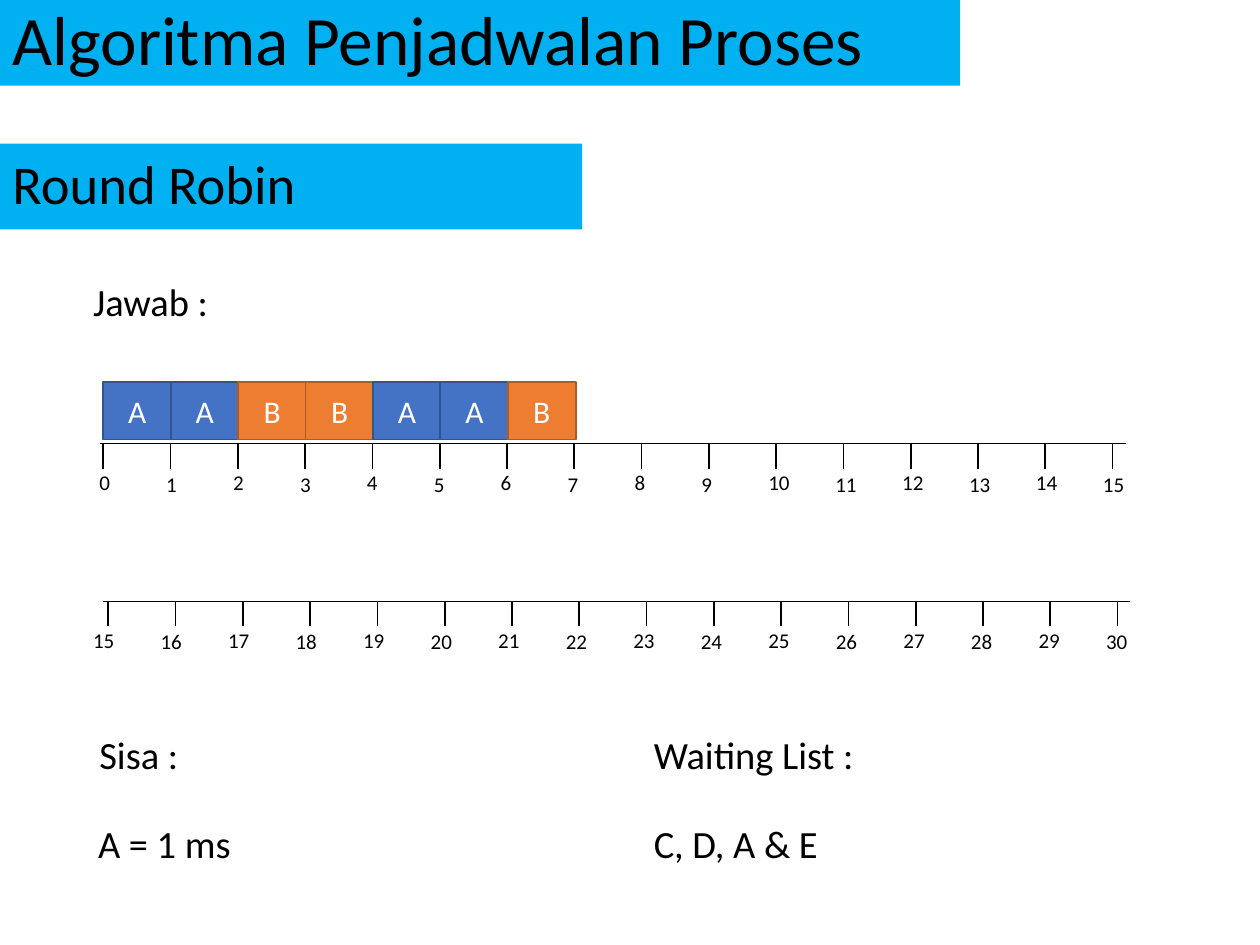
from lxml import etree
from pptx import Presentation
from pptx.dml.color import RGBColor
from pptx.enum import shapes, text
from pptx.oxml.ns import qn
from pptx.util import Inches, Pt

FONT = "Calibri"
BLACK, WHITE, BANNER = "000000", "FFFFFF", "00B0F0"
PROCESS_COLOURS = {"A": ("4472C4", "325491"), "B": ("ED7D31", "AF5C24")}
TICK_STEP = 0.534
TICK_HEIGHT = 0.2


def colour(value):
    return RGBColor.from_string(value)


def write(box, words, size, ink=BLACK, align=text.PP_ALIGN.LEFT, spacing=None):
    frame = box.text_frame
    frame.word_wrap = True
    frame.text = words
    para = frame.paragraphs[0]
    para.alignment = align
    if spacing:
        para.line_spacing = spacing
    font = para.runs[0].font
    font.name, font.size = FONT, Pt(size)
    font.color.rgb = colour(ink)


def add_block(parent, left, top, width, height, fill, outline=None):
    block = parent.add_shape(shapes.MSO_SHAPE.RECTANGLE, Inches(left),
                             Inches(top), Inches(width), Inches(height))
    block.shadow.inherit = False
    block.fill.solid()
    block.fill.fore_color.rgb = colour(fill)
    if outline:
        block.line.color.rgb = colour(outline)
        block.line.width = Pt(1)
    else:
        block.line.fill.background()
    block.text_frame.vertical_anchor = text.MSO_ANCHOR.MIDDLE
    return block


def add_banner(parent, top, width, words, size):
    banner = add_block(parent, 0, top, width, 0.68, BANNER)
    write(banner, words, size, spacing=0.9)


def add_label(parent, left, top, width, height, words, size,
              align=text.PP_ALIGN.LEFT):
    label = parent.add_textbox(Inches(left), Inches(top),
                               Inches(width), Inches(height))
    write(label, words, size, align=align)
    label.text_frame.auto_size = text.MSO_AUTO_SIZE.SHAPE_TO_FIT_TEXT


def add_line(parent, x1, y1, x2, y2, weight):
    line = parent.add_connector(shapes.MSO_CONNECTOR.STRAIGHT, Inches(x1),
                                Inches(y1), Inches(x2), Inches(y2))
    line.line.color.rgb = colour(BLACK)
    line.line.width = Pt(weight)
    properties = line.element.find(qn("p:spPr"))
    etree.SubElement(properties, qn("a:effectLst"))


def add_timeline(page, left, axis, first_tick, first_label, label_step, numbers):
    parent = page.shapes.add_group_shape().shapes
    add_line(parent, left, axis, left + 8.15, axis, 0.5)
    for i, number in enumerate(numbers):
        x = first_tick + i * TICK_STEP
        add_line(parent, x, axis, x, axis + TICK_HEIGHT, 1)
        # Odd positions sit slightly lower
        add_label(parent, first_label + i * label_step,
                  axis + 0.16 + 0.01 * (i % 2), 0.4, 0.3, str(number), 12)


def add_schedule(page, processes):
    for i, process in enumerate(processes):
        fill, outline = PROCESS_COLOURS[process]
        block = add_block(page.shapes, 0.82 + i * 0.535, 3.03, 0.54, 0.46,
                          fill, outline)
        write(block, process, 18, WHITE, text.PP_ALIGN.CENTER)


def main():
    deck = Presentation()
    deck.slide_width, deck.slide_height = Inches(10), Inches(7.5)
    page = deck.slides.add_slide(deck.slide_layouts[6])

    # Headings
    add_banner(page.shapes, 0, 7.62, "Algoritma Penjadwalan Proses", 39.6)
    add_banner(page.shapes, 1.14, 4.62, "Round Robin", 31.2)

    # Timelines and scheduled processes
    add_timeline(page, 0.79, 3.52, 0.82, 0.69, 0.531, range(16))
    add_schedule(page, "AABBAAB")
    add_timeline(page, 0.82, 4.77, 0.86, 0.64, 0.536, range(15, 31))

    # Answer, remaining time and waiting list
    for left, top, width, words in (
        (0.64, 2.16, 1.98, "Jawab :"),
        (0.69, 5.75, 1.98, "Sisa :"),
        (5.09, 5.75, 1.98, "Waiting List :"),
        (0.68, 6.46, 2.85, "A = 1 ms"),
        (5.09, 6.46, 1.98, "C, D, A & E"),
    ):
        add_label(page.shapes, left, top, width, 0.47, words, 22,
                  text.PP_ALIGN.JUSTIFY)

    deck.save("out.pptx")


if __name__ == "__main__":
    main()
